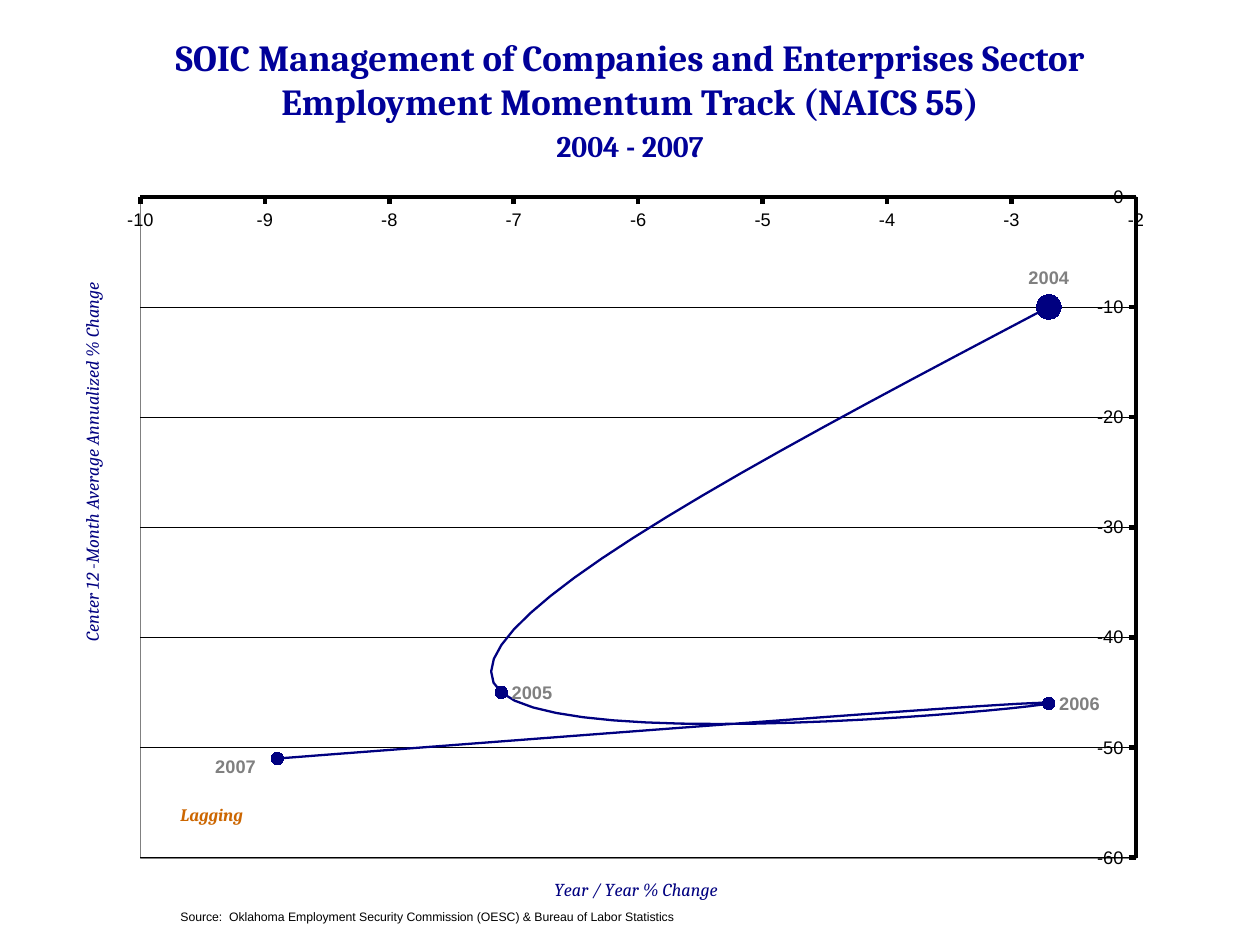
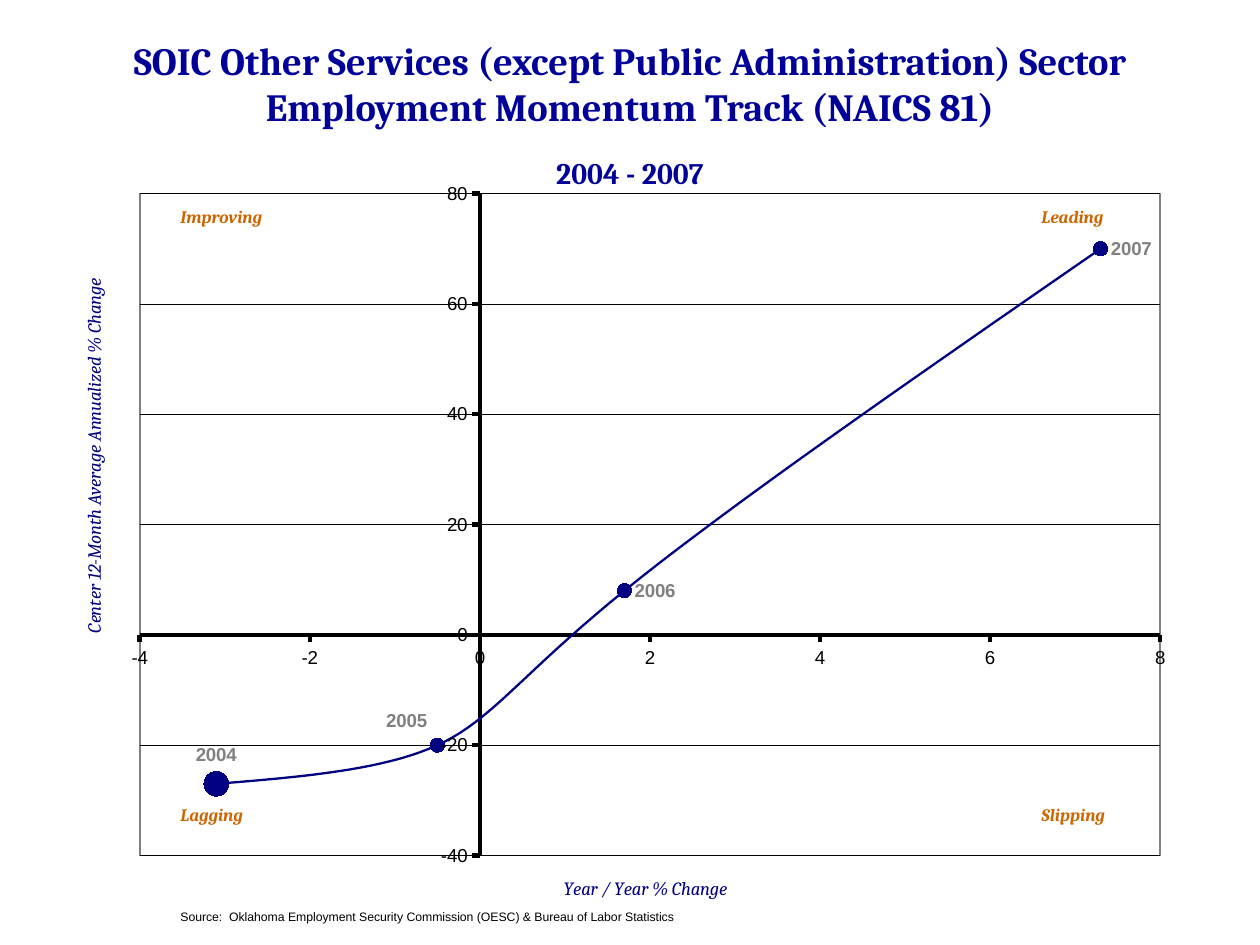
from lxml import etree
from pptx import Presentation
from pptx.chart.data import XyChartData
from pptx.dml.color import RGBColor
from pptx.enum import chart as ch, text as tx
from pptx.oxml import parse_xml
from pptx.oxml.ns import nsdecls, qn
from pptx.util import Pt

TITLE_BLUE = RGBColor(0x00, 0x00, 0x99)
NAVY = RGBColor(0x00, 0x00, 0x80)
ORANGE = RGBColor(0xCC, 0x66, 0x00)
GREY = RGBColor(0x80, 0x80, 0x80)
BLACK = RGBColor(0x00, 0x00, 0x00)
WHITE = RGBColor(0xFF, 0xFF, 0xFF)

SERIF, SANS = "Cambria", "Arial"
SOURCE = ("Source:  Oklahoma Employment Security Commission (OESC) "
          "& Bureau of Labor Statistics")
QUADRANTS = {"Improving": (96, 114), "Leading": (588, 114),
             "Lagging": (96, 456), "Slipping": (588, 456)}

POSITION, MARKER = ch.XL_LABEL_POSITION, ch.XL_MARKER_STYLE
YEAR_STYLES = [
    ("2004", RGBColor(0x33, 0x66, 0xFF), MARKER.DOT, False),
    ("2005", RGBColor(0x33, 0xCC, 0xCC), MARKER.DASH, False),
    ("2006", RGBColor(0x99, 0xCC, 0x00), MARKER.DIAMOND, True),
    ("2007", RGBColor(0xFF, 0x00, 0x00), MARKER.DIAMOND, True),
]

# Each track point is (year/year % change, annualized % change).
# Each year label is (side of its point, shift as a share of the chart).
# Plot frames are in percent of the chart.
SECTORS = [
    dict(
        heading=["SOIC Management of Companies and Enterprises Sector",
                 "Employment Momentum Track (NAICS 55)"],
        heading_box=(36, 11.5, 648, 90), heading_size=21, period_gap=3,
        track=[(-2.7, -10), (-7.1, -45), (-2.7, -46), (-8.9, -51)],
        labels=[(POSITION.ABOVE, (0, -0.01)), (POSITION.RIGHT, None),
                (POSITION.RIGHT, None), (POSITION.LEFT, (-0.01, 0.01))],
        x_range=(-10, -2, 1), y_range=(-60, 0, 10),
        y_title="Center 12 -Month Average Annualized % Change",
        chart_box=(37.4, 87.1, 630.7, 452.9), chart_size=10.4, marker_size=7,
        plot=dict(x=6.8, y=5.6, w=90.2, h=83.4),
        quadrants=["Lagging"],
    ),
    dict(
        heading=["SOIC Other Services (except Public Administration) Sector",
                 "Employment Momentum Track (NAICS 81)"],
        heading_box=(12, 20, 696, 90), heading_size=22, period_gap=15,
        track=[(-3.1, -27), (-0.5, -20), (1.7, 8), (7.3, 70)],
        labels=[(POSITION.ABOVE, (0, -0.01)), (POSITION.LEFT, (0, -0.03)),
                (POSITION.RIGHT, None), (POSITION.RIGHT, None)],
        x_range=(-4, 8, 2), y_range=(-40, 80, 20),
        y_title="Center 12-Month Average Annualized % Change",
        chart_box=(38.2, 84.2, 640.8, 455.8), chart_size=10.7, marker_size=8,
        plot=dict(x=6.5, y=5.8, w=91, h=83),
        quadrants=list(QUADRANTS),
    ),
]


def write(paragraph, words, size, color, font=SERIF, bold=False, italic=False):
    run = paragraph.add_run()
    run.text = words
    run.font.size, run.font.name = Pt(size), font
    run.font.bold, run.font.italic = bold, italic
    run.font.color.rgb = color


def place(part, index, **settings):
    """Give a chart part a manual layout, inserted as its child at index."""
    for old in part.findall(qn("c:layout")):
        part.remove(old)
    layout = parse_xml(f"<c:layout {nsdecls('c')}><c:manualLayout/></c:layout>")
    for name, value in settings.items():
        etree.SubElement(layout[0], qn(f"c:{name}")).set("val", str(value))
    part.insert(index, layout)


prs = Presentation()
prs.slide_width, prs.slide_height = Pt(720), Pt(540)

for sector in SECTORS:
    slide = prs.slides.add_slide(prs.slide_layouts[5])

    # Heading
    heading = slide.shapes.title
    heading.left, heading.top, heading.width, heading.height = map(Pt, sector["heading_box"])
    frame = heading.text_frame
    frame.auto_size = tx.MSO_AUTO_SIZE.NONE
    frame.vertical_anchor = tx.MSO_ANCHOR.MIDDLE
    lines = [(line, sector["heading_size"], 0) for line in sector["heading"]]
    lines.append(("2004 - 2007", 17, sector["period_gap"]))
    for number, (line, size, gap) in enumerate(lines):
        paragraph = frame.add_paragraph() if number else frame.paragraphs[0]
        paragraph.alignment = tx.PP_ALIGN.CENTER
        paragraph.space_before = Pt(gap)
        write(paragraph, line, size, TITLE_BLUE, bold=True)

    # Momentum chart: the track, then one labelled point per year
    data = XyChartData()
    track_data = data.add_series("Series 1")
    for x, y in sector["track"]:
        track_data.add_data_point(x, y)
    for (year, *_), (x, y) in zip(YEAR_STYLES, sector["track"]):
        data.add_series(year).add_data_point(x, y)
    chart = slide.shapes.add_chart(ch.XL_CHART_TYPE.XY_SCATTER_SMOOTH,
                                   *map(Pt, sector["chart_box"]), data).chart
    chart.has_legend = chart.has_title = False
    chart.font.size, chart.font.name = Pt(sector["chart_size"]), SANS
    chart.font.color.rgb = BLACK
    chart.plots[0].vary_by_categories = False
    for smooth in chart.element.iter(qn("c:smooth")):
        smooth.set("val", "1")

    track, *years = chart.plots[0].series
    start = track.points[0]
    for part, size in ((track, sector["marker_size"]), (start, 14)):
        part.format.line.color.rgb = NAVY
        part.format.line.width = Pt(1.3)
        part.marker.style, part.marker.size = MARKER.CIRCLE, size
        part.marker.format.fill.solid()
        part.marker.format.fill.fore_color.rgb = NAVY
        part.marker.format.line.color.rgb = NAVY

    for series, (_, color, style, filled), (side, shift) in zip(
            years, YEAR_STYLES, sector["labels"]):
        series.format.line.color.rgb = color
        series.format.line.width = Pt(1.3)
        series.marker.style, series.marker.size = style, 6
        series.marker.format.line.fill.background()
        if filled:
            series.marker.format.fill.solid()
            series.marker.format.fill.fore_color.rgb = NAVY
        else:
            series.marker.format.fill.background()
        label = series.points[0].data_label
        label.font.size, label.font.name = Pt(sector["chart_size"]), SANS
        label.font.bold = True
        label.font.color.rgb = GREY
        label.position = side
        label_xml = next(series._element.iter(qn("c:dLbl")))
        label_xml.find(qn("c:showVal")).set("val", "0")
        label_xml.find(qn("c:showSerName")).set("val", "1")
        if shift:
            place(label_xml, 1, x=shift[0], y=shift[1])
    for leader in chart.element.iter(qn("c:showLeaderLines")):
        leader.set("val", "0")

    # Axes
    x_axis, y_axis = chart.category_axis, chart.value_axis
    for axis, limits, title, corner in (
            (x_axis, sector["x_range"], "Year / Year % Change", (0.44, 0.91)),
            (y_axis, sector["y_range"], sector["y_title"], (0.01, 0.16))):
        axis.minimum_scale, axis.maximum_scale, axis.major_unit = limits
        axis.has_major_gridlines = axis is y_axis
        axis.major_tick_mark = ch.XL_TICK_MARK.OUTSIDE
        axis.minor_tick_mark = ch.XL_TICK_MARK.NONE
        axis.tick_label_position = ch.XL_TICK_LABEL_POSITION.NEXT_TO_AXIS
        axis.tick_labels.number_format = "General"
        axis.tick_labels.number_format_is_linked = False
        axis.format.line.color.rgb = BLACK
        axis.format.line.width = Pt(2.6)
        caption = axis.axis_title
        write(caption.text_frame.paragraphs[0], title, sector["chart_size"], NAVY, italic=True)
        place(caption.element, 1, xMode="edge", yMode="edge", x=corner[0], y=corner[1])
    y_turn = next(y_axis.axis_title.element.iter(qn("a:bodyPr")))
    y_turn.set("rot", "-5400000")
    y_turn.set("vert", "horz")
    y_axis.major_gridlines.format.line.color.rgb = BLACK
    y_axis.major_gridlines.format.line.width = Pt(0.33)

    # Plot area
    plot_area = next(chart.element.iter(qn("c:plotArea")))
    shares = {side: percent / 100 for side, percent in sector["plot"].items()}
    place(plot_area, 0, layoutTarget="inner", xMode="edge", yMode="edge", **shares)
    plot_area.append(parse_xml(
        f'<c:spPr {nsdecls("c", "a")}>'
        f'<a:solidFill><a:srgbClr val="{WHITE}"/></a:solidFill>'
        f'<a:ln w="12700"><a:solidFill><a:srgbClr val="{GREY}"/></a:solidFill></a:ln>'
        '</c:spPr>'))

    # Quadrant names and source line
    notes = [(name, (*QUADRANTS[name], 72, 19.4),
              dict(size=10, color=ORANGE, bold=True, italic=True))
             for name in sector["quadrants"]]
    notes.append((SOURCE, (96, 516, 384, 24), dict(size=7, color=BLACK, font=SANS)))
    for words, box, look in notes:
        note = slide.shapes.add_textbox(*map(Pt, box)).text_frame
        note.word_wrap = True
        write(note.paragraphs[0], words, **look)

prs.save("out.pptx")
